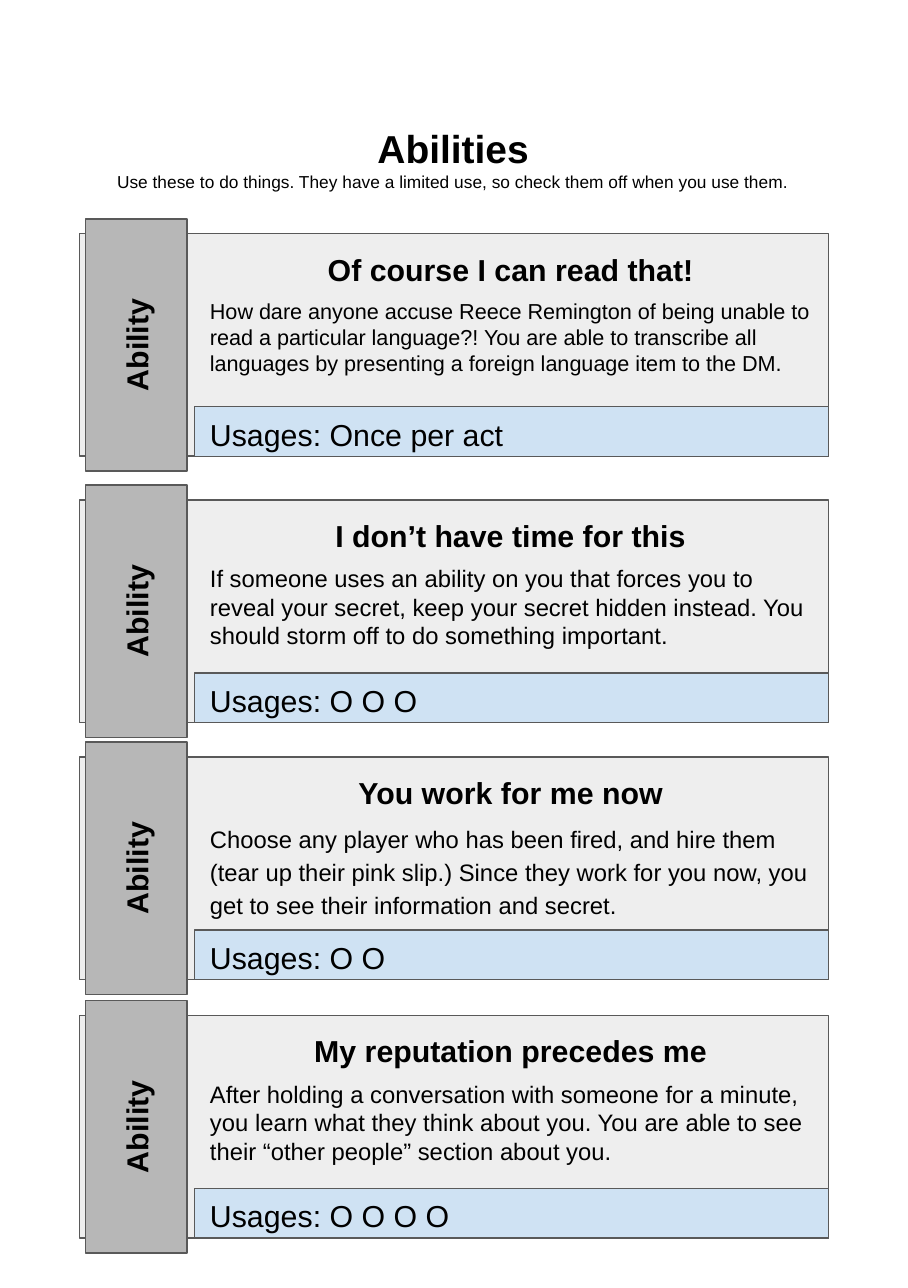
import pptx
import pptx.util
import pptx.dml.color
import pptx.enum.shapes
import pptx.enum.text

PAGE_WIDTH, PAGE_HEIGHT = 5.83, 8.27
HEADING = "Abilities"
INSTRUCTION = "Use these to do things. They have a limited use, so check them off when you use them."
TAB_LABEL = "Ability"

# card top, name, effect, effect text size, line spacing, usages
ABILITIES = [
    (1.50, "Of course I can read that!",
     "How dare anyone accuse Reece Remington of being unable to read a particular language?! "
     "You are able to transcribe all languages by presenting a foreign language item to the DM.",
     10, 1.0, "Once per act"),
    (3.21, "I don’t have time for this",
     "If someone uses an ability on you that forces you to reveal your secret, keep your secret "
     "hidden instead. You should storm off to do something important.",
     11, 1.0, "O O O"),
    (4.86, "You work for me now",
     "Choose any player who has been fired, and hire them (tear up their pink slip.) "
     "Since they work for you now, you get to see their information and secret.",
     11, 1.15, "O O"),
    (6.52, "My reputation precedes me",
     "After holding a conversation with someone for a minute, you learn what they think about "
     "you. You are able to see their “other people” section about you.",
     11, 1.0, "O O O O"),
]

CARD_LEFT, CARD_WIDTH, CARD_HEIGHT = 0.51, 4.81, 1.43
TAB_LEFT, TAB_WIDTH, TAB_HEIGHT = 0.55, 0.65, 1.62
TEXT_LEFT, TEXT_WIDTH = 1.25, 4.06
STRIP_WIDTH, STRIP_HEIGHT = 4.07, 0.32
LINE_HEIGHT = 0.42

Inches, Pt = pptx.util.Inches, pptx.util.Pt
Kind = pptx.enum.shapes.MSO_SHAPE
Align = pptx.enum.text.PP_ALIGN
Anchor = pptx.enum.text.MSO_ANCHOR


def color(value):
    return pptx.dml.color.RGBColor.from_string(value)


def write(para, text, size=14, bold=False, align=Align.LEFT, spacing=1.0):
    para.alignment = align
    para.line_spacing = spacing
    span = para.add_run()
    span.text = text
    span.font.name = "Arial"
    span.font.size = Pt(size)
    span.font.bold = bold
    span.font.color.rgb = color("000000")


def prepare_frame(box, anchor=Anchor.TOP):
    """Set wrapping, anchor and equal insets, and return the text frame."""
    frame = box.text_frame
    frame.word_wrap = True
    frame.auto_size = pptx.enum.text.MSO_AUTO_SIZE.NONE
    frame.vertical_anchor = anchor
    frame.margin_left = frame.margin_right = Inches(0.1)
    frame.margin_top = frame.margin_bottom = Inches(0.1)
    return frame


def add_text(group, top, height, text, **style):
    box = group.shapes.add_textbox(
        Inches(TEXT_LEFT), Inches(top), Inches(TEXT_WIDTH), Inches(height))
    write(prepare_frame(box).paragraphs[0], text, **style)


def add_panel(group, kind, left, top, width, height, fill, rotation=0):
    """Place a square-cornered panel by the area it covers after rotation."""
    center_x, center_y = left + width / 2, top + height / 2
    if rotation in (90, 270):
        width, height = height, width
    panel = group.shapes.add_shape(
        kind, Inches(center_x - width / 2), Inches(center_y - height / 2),
        Inches(width), Inches(height))
    for index in range(len(panel.adjustments)):
        panel.adjustments[index] = 0
    panel.rotation = rotation
    panel.shadow.inherit = False
    panel.fill.solid()
    panel.fill.fore_color.rgb = color(fill)
    panel.line.color.rgb = color("595959")
    panel.line.width = Pt(0.75)
    return panel


def add_ability(page, top, name, effect, size, spacing, usages):
    group = page.shapes.add_group_shape()
    bottom = top + CARD_HEIGHT
    add_panel(group, Kind.ROUNDED_RECTANGLE, CARD_LEFT, top,
              CARD_WIDTH, CARD_HEIGHT, "EEEEEE")
    tab = add_panel(group, Kind.ROUND_2_SAME_RECTANGLE, TAB_LEFT,
                    top + (CARD_HEIGHT - TAB_HEIGHT) / 2,
                    TAB_WIDTH, TAB_HEIGHT, "B7B7B7", rotation=270)
    write(prepare_frame(tab, Anchor.MIDDLE).paragraphs[0], TAB_LABEL,
          bold=True, align=Align.CENTER)
    add_text(group, top + 0.01, LINE_HEIGHT, name, bold=True, align=Align.CENTER)
    add_text(group, top + 0.31, 0.75, effect, size=size, spacing=spacing)
    add_panel(group, Kind.ROUND_1_RECTANGLE, CARD_LEFT + CARD_WIDTH - STRIP_WIDTH,
              bottom - STRIP_HEIGHT, STRIP_WIDTH, STRIP_HEIGHT, "CFE2F3", rotation=90)
    add_text(group, bottom - 0.36, LINE_HEIGHT, "Usages: " + usages)


def main():
    deck = pptx.Presentation()
    deck.slide_width, deck.slide_height = Inches(PAGE_WIDTH), Inches(PAGE_HEIGHT)
    page = deck.slides.add_slide(deck.slide_layouts.get_by_name("Title Only"))

    title = page.shapes.title
    title.left, title.top = Inches(0.23), Inches(0.7)
    title.width, title.height = Inches(5.36), Inches(0.91)
    frame = prepare_frame(title)
    write(frame.paragraphs[0], HEADING, size=18, bold=True, align=Align.CENTER)
    write(frame.add_paragraph(), INSTRUCTION, size=8, align=Align.CENTER)

    for ability in ABILITIES:
        add_ability(page, *ability)
    deck.save("out.pptx")


if __name__ == "__main__":
    main()
